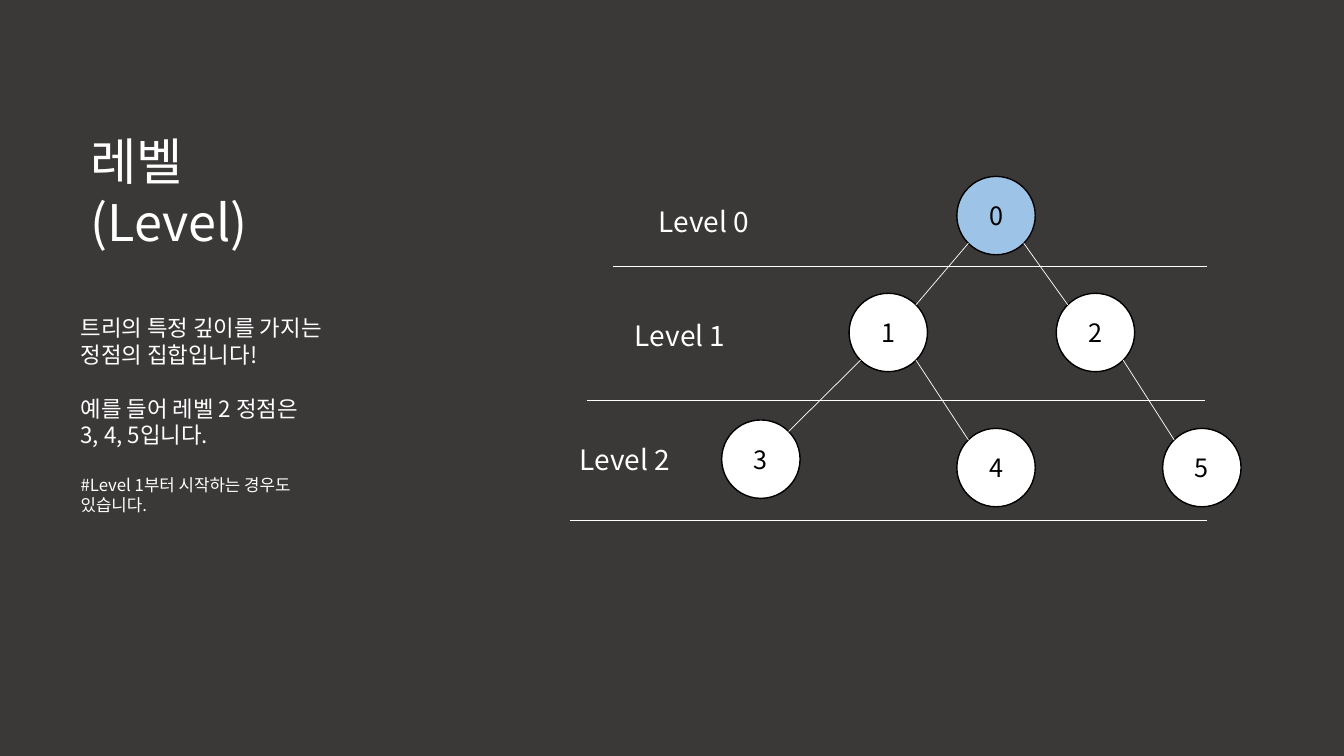
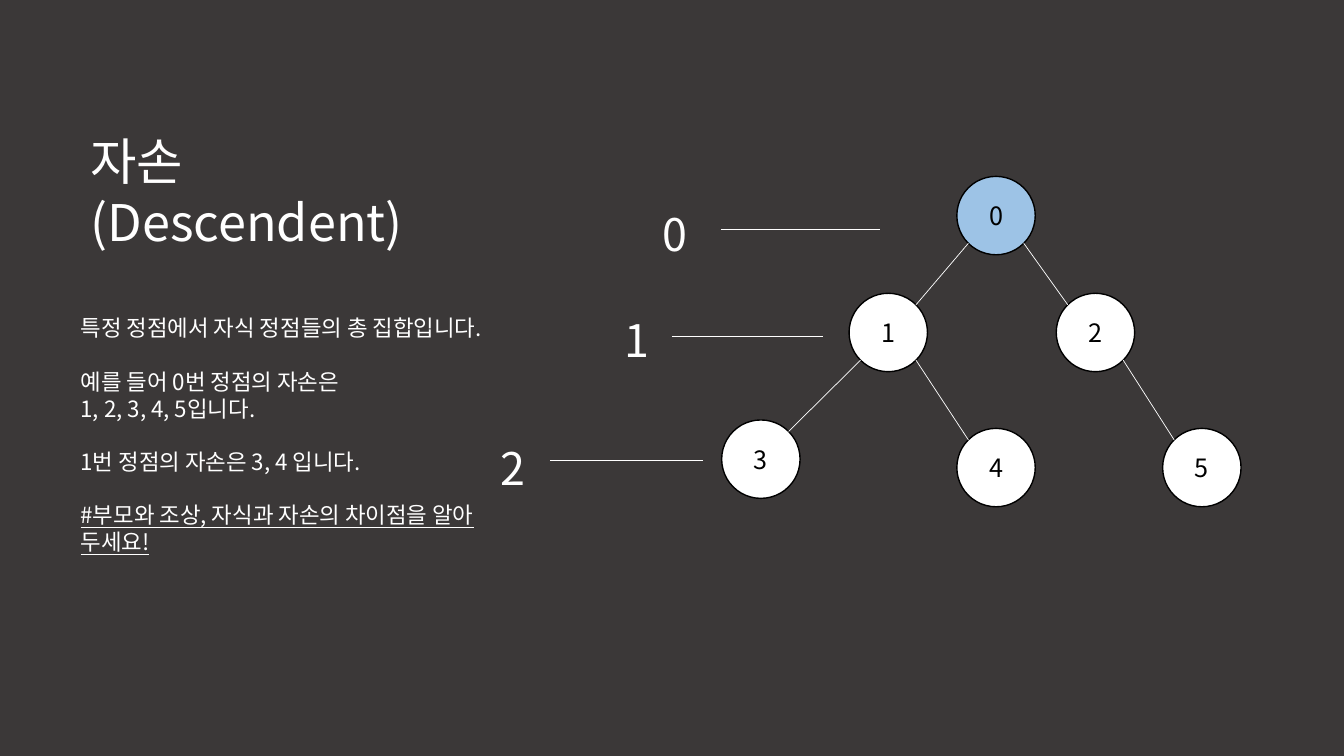
from lxml import etree
from pptx import Presentation
from pptx.dml.color import RGBColor
from pptx.enum.shapes import MSO_CONNECTOR, MSO_SHAPE
from pptx.enum.text import MSO_ANCHOR, MSO_AUTO_SIZE, PP_ALIGN
from pptx.oxml.ns import qn
from pptx.util import Pt

STRAIGHT = MSO_CONNECTOR.STRAIGHT
ELLIPSE = MSO_SHAPE.OVAL
TOP, MIDDLE = MSO_ANCHOR.TOP, MSO_ANCHOR.MIDDLE
LEFT, CENTER = PP_ALIGN.LEFT, PP_ALIGN.CENTER
NO_AUTOFIT = MSO_AUTO_SIZE.NONE

COLORS = {"back": "3B3838", "root": "9DC3E6", "light": "FFFFFF", "dark": "000000"}
FONT = "Noto Sans CJK KR"
LEADING = 1.2
TITLE_ONLY = 5

TREE_BOX = (515.5, 126)
NODE_SIZE = 56
NODES = [(168, 0), (91, 83.5), (239, 83.5), (0, 174), (168, 180), (315, 180)]
EDGES = [(0, 1), (0, 2), (1, 3), (1, 4), (2, 5)]

ROWS_BOX = (350, 142)

SLIDES = [
    {
        "title": "레벨\v(Level)",
        "body": [
            ("트리의 특정 깊이를 가지는", {}),
            ("정점의 집합입니다!", {}),
            ("예를 들어 레벨 2 정점은", {"before": 19}),
            ("3, 4, 5입니다.", {}),
            ("#Level 1부터 시작하는 경우도\v있습니다.", {"size": 12, "before": 19}),
        ],
        "row_size": 20,
        "rows": [
            ("Level 0", (113.5, 0.5), (88, 512.5, 48)),
            ("Level 1", (96.5, 82), (69, 510.5, 144)),
            ("Level 2", (57, 170.5), (57, 512.5, 230)),
        ],
    },
    {
        "title": "자손\v(Descendent)",
        "body": [
            ("특정 정점에서 자식 정점들의 총 집합입니다.", {}),
            ("예를 들어 0번 정점의 자손은", {"before": 19}),
            ("1, 2, 3, 4, 5입니다.", {}),
            ("1번 정점의 자손은 3, 4 입니다.", {"before": 19}),
            ("#부모와 조상, 자식과 자손의 차이점을 알아\v두세요!",
             {"before": 19, "underline": True}),
        ],
        "row_size": 32,
        "rows": [
            ("0", (116.5, 2), (165, 278.5, 21.5)),
            ("1", (89, 77.5), (130, 238, 98.5)),
            ("2", (0.5, 169), (43, 152, 186.5)),
        ],
    },
]


def rgb(name):
    """Return the palette colour of this name."""
    return RGBColor.from_string(COLORS[name])


def write(p, text, size=16, color="light", align=LEFT, before=0, underline=None):
    """Write formatted text into a paragraph."""
    p.text = text
    p.alignment = align
    p.line_spacing = Pt(size * LEADING)
    p.space_before = Pt(before)
    for r in p.runs:
        r.font.size = Pt(size)
        r.font.color.rgb = rgb(color)
        r.font.underline = underline
        r.font.name = FONT
        latin = r.font._element.find(qn("a:latin"))
        ea = etree.Element(qn("a:ea"), typeface=FONT)
        latin.addnext(ea)


def prepare(tf, anchor=TOP):
    """Set the wrapping, fit and anchor of a text frame."""
    tf.word_wrap = True
    tf.auto_size = NO_AUTOFIT
    tf.vertical_anchor = anchor
    return tf


def add_text(s, left, top, width, height, paragraphs):
    """Add a text box holding (text, format) paragraphs."""
    sp = s.shapes.add_textbox(Pt(left), Pt(top), Pt(width), Pt(height))
    tf = prepare(sp.text_frame)
    for i, (text, fmt) in enumerate(paragraphs):
        p = tf.add_paragraph() if i else tf.paragraphs[0]
        write(p, text, **fmt)


def add_line(s, x1, y1, x2, y2):
    """Add a thin light line."""
    line = s.shapes.add_connector(STRAIGHT, Pt(x1), Pt(y1), Pt(x2), Pt(y2))
    line.line.color.rgb = rgb("light")
    line.line.width = Pt(0.5)
    etree.SubElement(line._element.spPr, qn("a:effectLst"))


def add_title(s, text, left, top, width, height):
    """Place and format the slide title."""
    sp = s.shapes.title
    sp.left, sp.top, sp.width, sp.height = Pt(left), Pt(top), Pt(width), Pt(height)
    write(prepare(sp.text_frame).paragraphs[0], text, size=36)


def add_node(s, left, top, label, fill):
    """Add one numbered tree node."""
    sp = s.shapes.add_shape(ELLIPSE, Pt(left), Pt(top), Pt(NODE_SIZE), Pt(NODE_SIZE))
    sp.shadow.inherit = False
    sp.fill.solid()
    sp.fill.fore_color.rgb = rgb(fill)
    sp.line.color.rgb = rgb("dark")
    sp.line.width = Pt(1)
    tf = prepare(sp.text_frame, MIDDLE)
    write(tf.paragraphs[0], label, size=18, color="dark", align=CENTER)


def add_tree(s, left, top):
    """Draw the tree, joining nodes at their diagonal rim points."""
    for i, (x, y) in enumerate(NODES):
        add_node(s, left + x, top + y, str(i), "light" if i else "root")
    radius = NODE_SIZE / 2
    rim = radius * 0.5 ** 0.5
    for parent, child in EDGES:
        (px, py), (cx, cy) = NODES[parent], NODES[child]
        dx = rim if cx > px else -rim
        add_line(s, left + px + radius + dx, top + py + radius + rim,
                 left + cx + radius - dx, top + cy + radius - rim)


def add_rows(s, left, top, rows, size):
    """Add the level labels and the line of each level."""
    for text, (x, y), (x1, x2, line_y) in rows:
        add_text(s, left + x, top + y, size * 5, size * 1.6, [(text, {"size": size})])
        add_line(s, left + x1, top + line_y, left + x2, top + line_y)


def add_tree_slide(prs, content):
    """Build one slide with a title, an explanation and the tree."""
    s = prs.slides.add_slide(prs.slide_layouts[TITLE_ONLY])
    add_title(s, content["title"], 57.5, 89.5, 308, 95)
    add_text(s, 50.5, 221, 344, 200, content["body"])
    add_tree(s, *TREE_BOX)
    add_rows(s, *ROWS_BOX, content["rows"], content["row_size"])


def main():
    """Build and save the presentation."""
    prs = Presentation()
    prs.slide_width, prs.slide_height = Pt(960), Pt(540)
    fill = prs.slide_master.background.fill
    fill.solid()
    fill.fore_color.rgb = rgb("back")
    for content in SLIDES:
        add_tree_slide(prs, content)
    prs.save("out.pptx")


if __name__ == "__main__":
    main()
